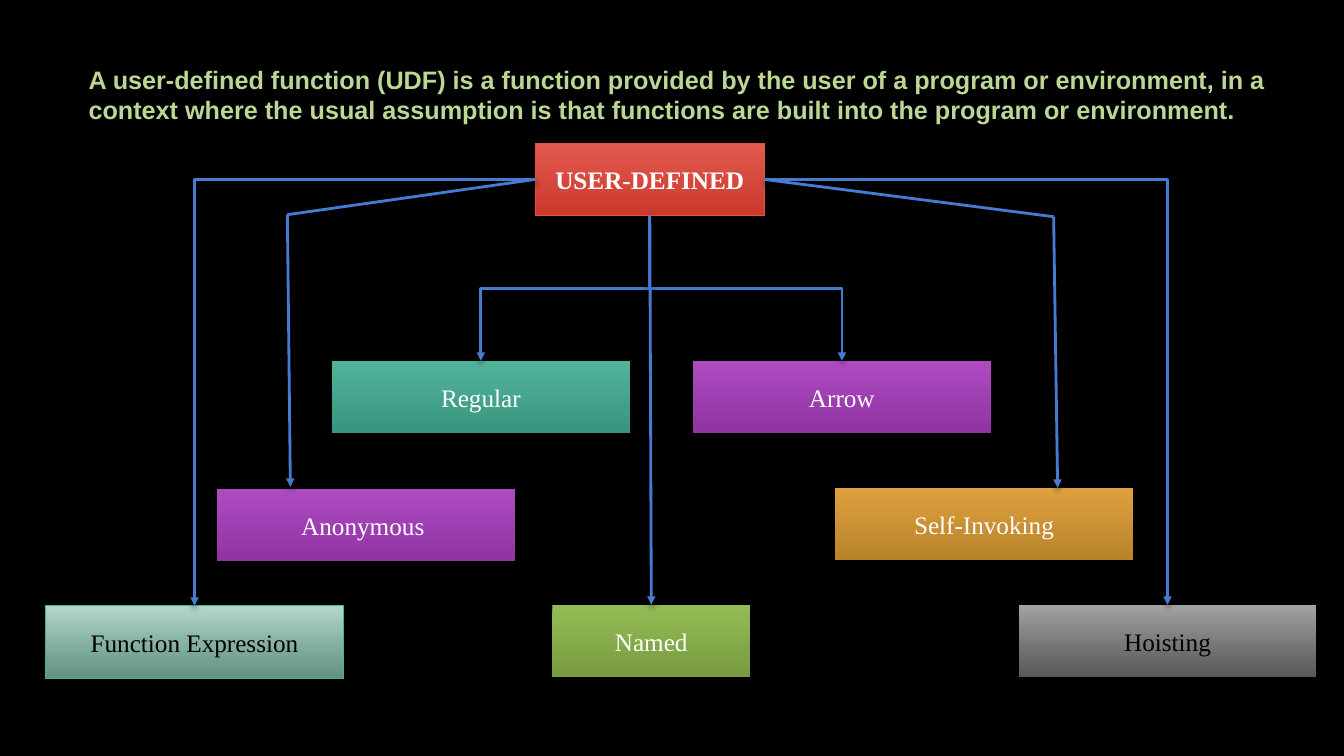
from lxml import etree
from pptx import Presentation
from pptx import util as u
from pptx.dml.color import RGBColor
from pptx.enum import shapes, text
from pptx.oxml.ns import qn

BLACK = RGBColor(0x00, 0x00, 0x00)
WHITE = RGBColor(0xFF, 0xFF, 0xFF)
BLUE = RGBColor(0x47, 0x7B, 0xD1)
PALE_GREEN = RGBColor(0xBC, 0xD6, 0x94)
RED_EDGE = RGBColor(0xE2, 0x52, 0x47)
MINT_EDGE = RGBColor(0x46, 0xB2, 0x98)
RED = (RGBColor(0xE3, 0x5A, 0x51), RGBColor(0xCB, 0x38, 0x2C))
PURPLE = (RGBColor(0xAE, 0x4A, 0xC2), RGBColor(0x8F, 0x34, 0xA1))
ORANGE = (RGBColor(0xDE, 0xA0, 0x40), RGBColor(0xB8, 0x83, 0x29))
TEAL = (RGBColor(0x50, 0xB4, 0x9B), RGBColor(0x3A, 0x94, 0x7F))
GREEN = (RGBColor(0x93, 0xBC, 0x55), RGBColor(0x78, 0x9B, 0x3F))
MINT = (RGBColor(0xB7, 0xDA, 0xCF), RGBColor(0x85, 0xC3, 0xB1))
GREY = (RGBColor(0xA6, 0xA6, 0xA6), RGBColor(0x79, 0x79, 0x79))

DEFINITION = (
    "A user-defined function (UDF) is a function provided by the user of a program "
    "or environment, in a context where the usual assumption is that functions are "
    "built into the program or environment."
)
BOX_HEIGHT = 0.72
ROOT = "USER-DEFINED"
BOXES = [
    (ROOT, 5.31, 1.42, 2.27, RED, RED_EDGE, WHITE, 100),
    ("Anonymous ", 2.15, 4.85, 2.96, PURPLE, None, WHITE, 100),
    ("Self-Invoking", 8.28, 4.84, 2.96, ORANGE, None, WHITE, 100),
    ("Regular", 3.29, 3.58, 2.96, TEAL, None, WHITE, 100),
    ("Arrow", 6.87, 3.58, 2.96, PURPLE, None, WHITE, 100),
    ("Named", 5.48, 6, 1.96, GREEN, None, WHITE, 100),
    ("Function Expression", 0.45, 6.01, 2.96, MINT, MINT_EDGE, BLACK, 74),
    ("Hoisting", 10.1, 6, 2.96, GREY, BLACK, BLACK, 74),
]
TOP, LEFT, BOTTOM, RIGHT = range(4)
SIDE_ELBOWS = [("Hoisting", RIGHT), ("Function Expression", LEFT)]
DROP_ELBOWS = ["Regular", "Arrow"]
BENT_PATHS = [
    (LEFT, (5.31, 1.79), (2.85, 2.13), (2.88, 4.83)),
    (RIGHT, (7.58, 1.79), (10.45, 2.15), (10.49, 4.84)),
]


def style(target, values):
    for name, value in values.items():
        setattr(target, name, value)


def add_shadow(shape, opacity, blur):
    properties = shape.element.spPr
    for old in properties.findall(qn("a:effectLst")):
        properties.remove(old)
    effects = etree.SubElement(properties, qn("a:effectLst"))
    shadow = etree.SubElement(
        effects, qn("a:outerShdw"), blurRad=str(u.Pt(blur)), dist=str(u.Pt(3)),
        dir="5400000", rotWithShape="0")
    color = etree.SubElement(shadow, qn("a:srgbClr"), val="000000")
    etree.SubElement(color, qn("a:alpha"), val=str(opacity * 1000))


def write(frame, wording, font):
    frame.word_wrap = True
    para = frame.paragraphs[0]
    span = para.add_run()
    span.text = wording
    style(span.font, {"size": u.Pt(18), "name": font["name"], "bold": font["bold"]})
    span.font.color.rgb = font["color"]
    return para


def add_box(page, name, left, top, width, colors, edge, ink, opacity):
    box = page.shapes.add_shape(
        shapes.MSO_SHAPE.RECTANGLE,
        *map(u.Inches, (left, top, width, BOX_HEIGHT)))
    box.shadow.inherit = False
    box.fill.gradient()
    box.fill.gradient_angle = 270
    for stop, color, position in zip(box.fill.gradient_stops, colors, (0, 1)):
        stop.color.rgb = color
        stop.position = position
    if opacity < 100:
        last = list(box.element.spPr.iter(qn("a:srgbClr")))[-1]
        etree.SubElement(last, qn("a:alpha"), val=str(opacity * 1000))
    if edge is None:
        box.line.fill.background()
    else:
        box.line.color.rgb = edge
        box.line.width = u.Pt(0.75)
    if name == ROOT:
        add_shadow(box, 35, 4)
    elif opacity == 100:
        add_shadow(box, 65, 5)
    font = {"name": "Times New Roman", "bold": name == ROOT, "color": ink}
    para = write(box.text_frame, name, font)
    para.alignment = text.PP_ALIGN.CENTER
    box.text_frame.vertical_anchor = text.MSO_ANCHOR.MIDDLE
    return box


def add_link(page, kind, start, end, arrow=True):
    link = page.shapes.add_connector(kind, *map(u.Inches, start + end))
    link.line.color.rgb = BLUE
    link.line.width = u.Pt(2)
    if arrow:
        outline = link.element.spPr.find(qn("a:ln"))
        etree.SubElement(outline, qn("a:tailEnd"), type="triangle")
    add_shadow(link, 35, 4)
    return link


def join(page, kind, root, side, child):
    link = add_link(page, kind, (0, 0), (1, 1))
    link.begin_connect(root, side)
    link.end_connect(child, TOP)
    return link


def turn(link, degrees, flip):
    frame = link.element.spPr.find(qn("a:xfrm"))
    for name in ("flipH", "flipV"):
        frame.attrib.pop(name, None)
    frame.set("rot", str(degrees * 60000))
    if flip:
        frame.set(flip, "1")


def main():
    deck = Presentation()
    style(deck, {"slide_width": u.Inches(13.33), "slide_height": u.Inches(7.5)})
    page = deck.slides.add_slide(deck.slide_layouts[6])
    page.background.fill.solid()
    page.background.fill.fore_color.rgb = BLACK

    boxes = {row[0]: add_box(page, *row) for row in BOXES}
    root = boxes[ROOT]
    straight = shapes.MSO_CONNECTOR.STRAIGHT
    elbow = shapes.MSO_CONNECTOR.ELBOW

    for name, side in SIDE_ELBOWS:
        link = join(page, elbow, root, side, boxes[name])
        link.element.spPr.find(qn("a:prstGeom")).set("prst", "bentConnector2")
        if side == LEFT:
            turn(link, 180, "flipV")

    for name in DROP_ELBOWS:
        link = join(page, elbow, root, BOTTOM, boxes[name])
        leftward = link.end_x < link.begin_x
        width, height = link.width, link.height
        middle_x = link.left + width // 2
        middle_y = link.top + height // 2
        turn(link, 90 if leftward else 270, None if leftward else "flipH")
        style(link, {"left": middle_x - height // 2, "top": middle_y - width // 2,
                     "width": height, "height": width})

    join(page, straight, root, BOTTOM, boxes["Named"])

    for side, start, bend, end in BENT_PATHS:
        link = add_link(page, straight, start, bend, arrow=False)
        link.begin_connect(root, side)
        add_link(page, straight, bend, end)

    caption = page.shapes.add_textbox(*map(u.Inches, (0.78, 0.59, 12.27, 0.71)))
    write(caption.text_frame, DEFINITION,
          {"name": "Arial", "bold": True, "color": PALE_GREEN})
    caption.text_frame.auto_size = text.MSO_AUTO_SIZE.SHAPE_TO_FIT_TEXT
    deck.save("out.pptx")


if __name__ == "__main__":
    main()
